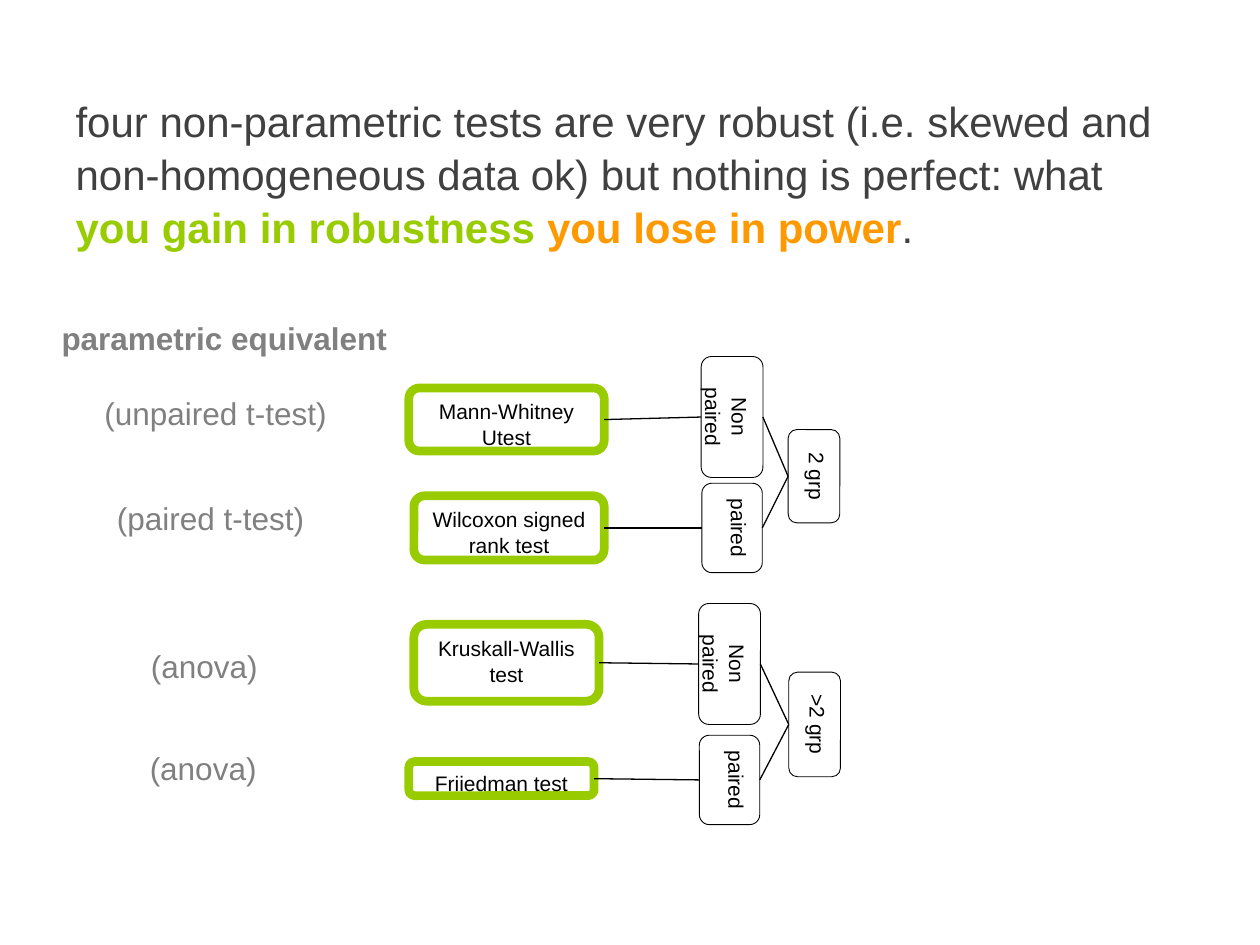
"""Build a slide on four non-parametric tests and their parametric equivalents."""
from dataclasses import dataclass

from lxml import etree
from pptx import Presentation, util as u
from pptx.dml.color import RGBColor
from pptx.enum import shapes, text
from pptx.oxml.ns import qn


@dataclass(frozen=True)
class Theme:
    font: str = "Arial"
    ink: str = "000000"
    dark: str = "404040"
    muted: str = "808080"
    paper: str = "FFFFFF"
    gain: str = "99CC00"
    loss: str = "FF9900"
    title_size: int = 24
    label_size: int = 18
    box_size: int = 12
    thick: float = 5
    thin: float = 0.5
    link: float = 0.75
    leading: float = 1.05


class TestSlide:
    columns, rows = 100, 75

    def __init__(self, deck, theme):
        self.theme = theme
        self.column = deck.slide_width / self.columns
        self.row = deck.slide_height / self.rows
        self.page = deck.slides.add_slide(deck.slide_layouts[5])

    def place(self, left, top, width, height):
        return (round(left * self.column), round(top * self.row),
                round(width * self.column), round(height * self.row))

    def style(self, span, size, color, bold=False):
        span.font.name = self.theme.font
        span.font.size = u.Pt(size)
        span.font.bold = bold
        span.font.color.rgb = RGBColor.from_string(color)

    def frame(self, shape, align):
        frame = shape.text_frame
        frame.word_wrap = True
        frame.vertical_anchor = text.MSO_ANCHOR.TOP
        para = frame.paragraphs[0]
        para.alignment = align
        para.line_spacing = self.theme.leading
        return frame, para

    def title(self, bounds, parts):
        box = self.page.shapes.title
        box.left, box.top, box.width, box.height = self.place(*bounds)
        frame, para = self.frame(box, text.PP_ALIGN.LEFT)
        frame.auto_size = text.MSO_AUTO_SIZE.NONE
        for words, color, bold in parts:
            span = para.add_run()
            span.text = words
            self.style(span, self.theme.title_size, color, bold)

    def label(self, words, left, top, width, bold=False):
        box = self.page.shapes.add_textbox(*self.place(left, top, width, 4))
        frame, para = self.frame(box, text.PP_ALIGN.LEFT)
        frame.auto_size = text.MSO_AUTO_SIZE.SHAPE_TO_FIT_TEXT
        para.text = words
        self.style(para.runs[0], self.theme.label_size, self.theme.muted, bold)

    def box(self, words, center, size, color, weight, turn=0):
        (x, y), (width, height) = center, size
        bounds = self.place(x - width / 2, y - height / 2, width, height)
        box = self.page.shapes.add_shape(shapes.MSO_SHAPE.ROUNDED_RECTANGLE, *bounds)
        box.rotation = turn
        box.shadow.inherit = False
        box.fill.solid()
        box.fill.fore_color.rgb = RGBColor.from_string(self.theme.paper)
        box.line.color.rgb = RGBColor.from_string(color)
        box.line.width = u.Pt(weight)
        frame, para = self.frame(box, text.PP_ALIGN.CENTER)
        frame.margin_left = frame.margin_right = u.Inches(0.08)
        para.text = words
        self.style(para.runs[0], self.theme.box_size, self.theme.ink)

    def test(self, words, center, size):
        self.box(words, center, size, self.theme.gain, self.theme.thick)

    def upright(self, words, center, size):
        self.box(words, center, size, self.theme.ink, self.theme.thin, turn=90)

    def link(self, start, end):
        ends = self.place(*start, *end)
        line = self.page.shapes.add_connector(shapes.MSO_CONNECTOR.STRAIGHT, *ends)
        line.line.color.rgb = RGBColor.from_string(self.theme.ink)
        line.line.width = u.Pt(self.theme.link)
        etree.SubElement(line._element.spPr, qn("a:effectLst"))


def side(center, breadth, direction):
    return center[0] + direction * breadth / 2, center[1]


def main():
    deck = Presentation()
    deck.slide_width, deck.slide_height = u.Inches(10), u.Inches(7.5)
    theme = Theme()
    slide = TestSlide(deck, theme)
    slide.title((5, 6.9, 89.2, 64.2), [
        ("four non-parametric tests are very robust (i.e. skewed and "
         "non-homogeneous data ok) but nothing is perfect: what ", theme.dark, False),
        ("you gain in robustness ", theme.gain, True),
        ("you lose in power", theme.loss, True),
        (".", theme.dark, False),
    ])

    unpaired, paired = ("Non paired", (9.6, 4.9)), ("paired", (7.1, 4.8))
    groups = [
        ("2 grp", (64.6, 37.8), (7.4, 4.1), [
            ("Mann-Whitney Utest", (40.2, 33.3), (15.5, 5), unpaired, (58.1, 33.1)),
            ("Wilcoxon signed rank test", (40.4, 41.9), (15.1, 5.1), paired, (58.1, 41.9)),
        ]),
        (">2 grp", (64.65, 57.5), (8.3, 4.1), [
            ("Kruskall-Wallis test", (40.2, 52.6), (14.7, 6.1), unpaired, (57.9, 52.7)),
            ("Friiedman test", (39.8, 61.8), (14.7, 2.7), paired, (57.9, 61.9)),
        ]),
    ]
    for group, hub, hub_size, tests in groups:
        slide.upright(group, hub, hub_size)
        for name, center, size, (design, design_size), spot in tests:
            slide.test(name, center, size)
            slide.upright(design, spot, design_size)
            slide.link(side(hub, hub_size[1], -1), side(spot, design_size[1], 1))
            slide.link(side(spot, design_size[1], -1), side(center, size[0], 1))

    slide.label("parametric equivalent", 3.9, 24.7, 28.6, bold=True)
    for words, left, top, width in [
        ("(unpaired t-test)", 7.3, 30.6, 21.7),
        ("(paired t-test)", 8.3, 39, 20.5),
        ("(anova)", 11, 50.7, 14.7),
        ("(anova)", 10.9, 58.8, 14.9),
    ]:
        slide.label(words, left, top, width)
    deck.save("out.pptx")


if __name__ == "__main__":
    main()
